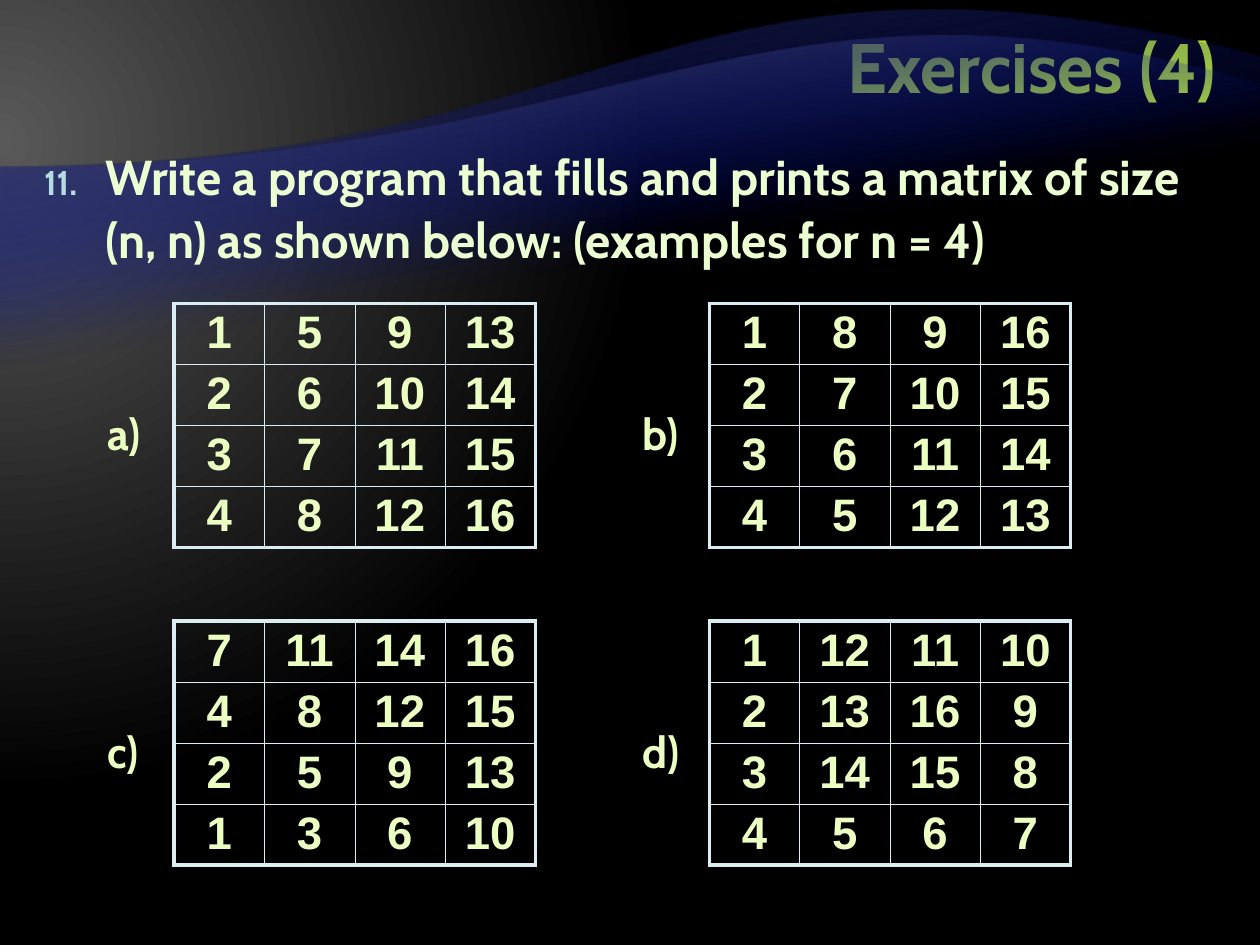
"""Build the slide with the four matrix-filling exercises."""
from lxml.etree import SubElement
from pptx import Presentation
from pptx.dml.color import RGBColor
from pptx.enum.text import MSO_ANCHOR as Anchor, PP_ALIGN as Align
from pptx.oxml import parse_xml
from pptx.oxml.ns import nsdecls, qn
from pptx.util import Cm, Pt

TITLE = "Exercises (4)"
TASK = ("Write a program that fills and prints a matrix of size (n, n) "
        "as shown below: (examples for n = 4)")
TASK_NUMBER = 11
MATRICES = [
    ("a)", [(1, 5, 9, 13), (2, 6, 10, 14), (3, 7, 11, 15), (4, 8, 12, 16)]),
    ("b)", [(1, 8, 9, 16), (2, 7, 10, 15), (3, 6, 11, 14), (4, 5, 12, 13)]),
    ("c)", [(7, 11, 14, 16), (4, 8, 12, 15), (2, 5, 9, 13), (1, 3, 6, 10)]),
    ("d)", [(1, 12, 11, 10), (2, 13, 16, 9), (3, 14, 15, 8), (4, 5, 6, 7)]),
]
COLORS = {
    "title": "CCFF33", "task": "EBFFD2", "number": "B5DBE5", "matrix": "EBFFC2",
    "border": "DAEDF2", "glow": "595959", "night": "000000", "wave": "000D9E",
    "back_crest": "262626", "front_crest": "595959",
}
WAVES = [
    ("back_crest", 16.59, [(0, 3.38), (12.7, 3.38), (13.56, -1.9), (25.4, 1.14)]),
    ("front_crest", 14.15, [(0, 3.38), (12.7, 3.38), (15.19, -1.24), (25.4, 1.7)]),
]
CURVE_STEPS = 40
GRID_LEFT, GRID_TOP, PITCH_X, PITCH_Y = 3.51, 6.12, 10.79, 6.4
COLUMN_WIDTH, ROW_HEIGHT = 1.82, 1.23
LABEL_DX, LABEL_DY = -1.6, 1.96
THIN, THICK = 0.25, 2.25


def set_gradient(fill, owner, stops, direction):
    """Give the fill of owner the stops (position, colour, alpha) and direction."""
    fill.gradient()
    marks = "".join(
        f'<a:gs pos="{position * 1000}"><a:srgbClr val="{COLORS[color]}">'
        f'<a:alpha val="{alpha * 1000}"/></a:srgbClr></a:gs>'
        for position, color, alpha in stops)
    old = owner.find(".//" + qn("a:gradFill"))
    old.getparent().replace(old, parse_xml(
        f'<a:gradFill {nsdecls("a")} rotWithShape="1">'
        f"<a:gsLst>{marks}</a:gsLst>{direction}</a:gradFill>"))


def add_text(paragraph, text, size, color, font="Cabin"):
    """Add one bold run to the paragraph."""
    run = paragraph.add_run()
    run.text = text
    run.font.size, run.font.name, run.font.bold = Pt(size), font, True
    run.font.color.rgb = RGBColor.from_string(COLORS[color])


def add_wave(slide, crest, bottom, controls):
    """Draw a band below a cubic curve, fading downwards."""
    curve = []
    for step in range(CURVE_STEPS + 1):
        t = step / CURVE_STEPS
        weights = ((1 - t) ** 3, 3 * t * (1 - t) ** 2, 3 * t * t * (1 - t), t ** 3)
        curve.append(tuple(Cm(sum(w * point[axis] for w, point in zip(weights, controls)))
                           for axis in (0, 1)))
    right, floor = Cm(controls[-1][0]), Cm(bottom)
    outline = slide.shapes.build_freeform(right, floor)
    outline.add_line_segments([(0, floor), *curve], close=True)
    wave = outline.convert_to_shape()
    wave.shadow.inherit = False
    wave.line.fill.background()
    set_gradient(wave.fill, wave.element, [(65, "wave", 0), (100, crest, 100)],
                 f'<a:lin ang="{260 * 60000}" scaled="0"/>')


def add_task(slide):
    """Write the numbered task."""
    frame = slide.shapes.add_textbox(Cm(0.64), Cm(2.74), Cm(24.13), Cm(15.67)).text_frame
    frame.word_wrap = True
    task = frame.paragraphs[0]
    task.line_spacing, task.space_after = Pt(36), Pt(6)
    layout = task._p.get_or_add_pPr()
    layout.set("marL", str(Cm(1.24)))
    layout.set("indent", str(Cm(-1.24)))
    number_color = SubElement(layout, qn("a:buClr"))
    SubElement(number_color, qn("a:srgbClr"), val=COLORS["number"])
    SubElement(layout, qn("a:buSzPct"), val="70000")
    SubElement(layout, qn("a:buFont"), typeface="Cabin")
    SubElement(layout, qn("a:buAutoNum"), type="arabicPeriod", startAt=str(TASK_NUMBER))
    add_text(task, TASK, 28, "task")


def set_borders(cell, widths):
    """Draw the left, right, top and bottom borders of the cell."""
    for place, (side, width) in enumerate(zip("LRTB", widths)):
        cell._tc.get_or_add_tcPr().insert(place, parse_xml(
            f'<a:ln{side} {nsdecls("a")} w="{Pt(width)}"><a:solidFill>'
            f'<a:srgbClr val="{COLORS["border"]}"/></a:solidFill></a:ln{side}>'))


def add_matrix(slide, left, top, rows):
    """Add a matrix with a thick frame and thin inner lines."""
    size = len(rows)
    matrix = slide.shapes.add_table(size, size, Cm(left), Cm(top), Cm(size * COLUMN_WIDTH),
                                    Cm(size * ROW_HEIGHT)).table
    matrix.first_row = matrix.horz_banding = False
    for r, row in enumerate(rows):
        for c, number in enumerate(row):
            cell = matrix.cell(r, c)
            cell.margin_top = cell.margin_bottom = Cm(0.08)
            cell.vertical_anchor = Anchor.MIDDLE
            cell.fill.background()
            outer = (c == 0, c == size - 1, r == 0, r == size - 1)
            set_borders(cell, [THICK if edge else THIN for edge in outer])
            paragraph = cell.text_frame.paragraphs[0]
            paragraph.alignment, paragraph.line_spacing = Align.CENTER, 0.95
            add_text(paragraph, str(number), 26, "matrix", "Arial")


def add_label(slide, left, top, label):
    """Write the letter of a matrix."""
    frame = slide.shapes.add_textbox(Cm(left), Cm(top), Cm(1.25), Cm(1.32)).text_frame
    frame.word_wrap = False
    add_text(frame.paragraphs[0], label, 25, "matrix")


def main():
    """Build and save the slide."""
    deck = Presentation()
    deck.slide_width, deck.slide_height = Cm(25.4), Cm(19.05)
    slide = deck.slides.add_slide(deck.slide_layouts[5])
    set_gradient(slide.background.fill, slide.element,
                 [(0, "glow", 100), (83, "night", 100)],
                 '<a:path path="circle"><a:fillToRect l="20000" t="30000" '
                 'r="135000" b="100000"/></a:path>')
    for wave in WAVES:
        add_wave(slide, *wave)

    title = slide.shapes.title
    title.left, title.top, title.width, title.height = Cm(5.08), Cm(0.2), Cm(19.69), Cm(2.54)
    title.text_frame.vertical_anchor = Anchor.MIDDLE
    heading = title.text_frame.paragraphs[0]
    heading.alignment, heading.line_spacing = Align.RIGHT, Pt(40)
    add_text(heading, TITLE, 40, "title")

    add_task(slide)
    for index, (label, rows) in enumerate(MATRICES):
        left = GRID_LEFT + index % 2 * PITCH_X
        top = GRID_TOP + index // 2 * PITCH_Y
        add_matrix(slide, left, top, rows)
        add_label(slide, left + LABEL_DX, top + LABEL_DY, label)
    deck.save("out.pptx")


if __name__ == "__main__":
    main()
